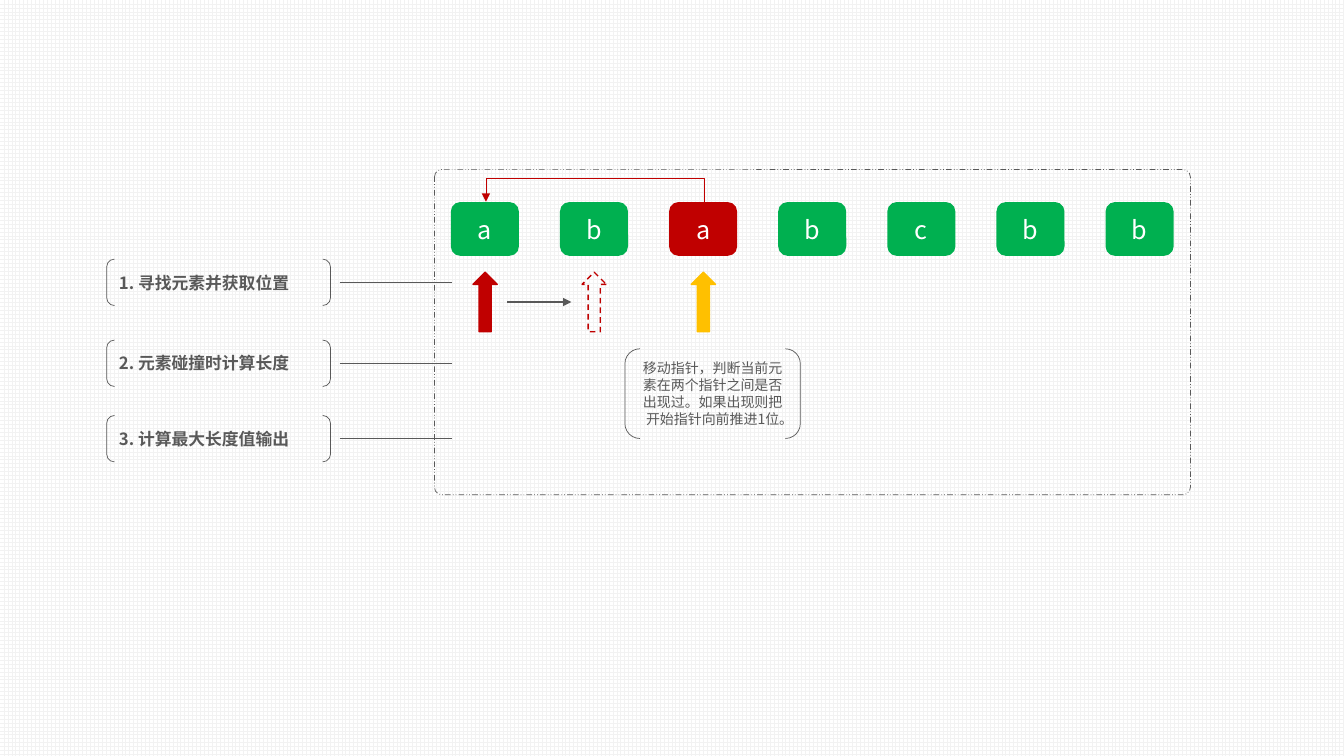
from dataclasses import dataclass
from typing import Optional

from lxml.etree import SubElement
from pptx import Presentation
from pptx.dml.color import RGBColor
from pptx.enum.dml import MSO_LINE as Dash, MSO_PATTERN as Pattern
from pptx.enum.shapes import MSO_CONNECTOR as Link, MSO_SHAPE as Kind
from pptx.enum.text import MSO_ANCHOR as Anchor, PP_ALIGN as Align
from pptx.oxml.ns import qn
from pptx.util import Cm, Pt

FONT = "Noto Sans CJK SC"
GREEN, RED, GOLD, GRAY, WHITE = "00B050", "C00000", "FFC000", "595959", "FFFFFF"
LEFT, STEP, SIDE = 11.38, 2.75, 1.68


@dataclass
class Cell:
    text: str
    fill: str = GREEN


@dataclass
class Mark:
    slot: int
    line: str
    fill: Optional[str] = None
    dash: Optional[Dash] = None


@dataclass
class Task:
    text: str
    mid: float


CELLS = [Cell("a"), Cell("b"), Cell("a", RED), Cell("b"), Cell("c"), Cell("b"), Cell("b")]
MARKS = [Mark(0, RED, RED), Mark(2, GOLD, GOLD), Mark(1, RED, dash=Dash.DASH)]
TASKS = [
    Task("1. 寻找元素并获取位置", 7.11),
    Task("2. 元素碰撞时计算长度", 9.15),
    Task("3. 计算最大长度值输出", 11.05),
]
NOTE = "移动指针，判断当前元素在两个指针之间是否出现过。如果出现则把开始指针向前推进1位。"


def paint(code: str) -> RGBColor:
    return RGBColor.from_string(code)


def draw(slide, kind: Kind, x: float, y: float, w: float, h: float, *,
         line: str, fill: Optional[str] = None, width: float = 0.5,
         dash: Optional[Dash] = None):
    shape = slide.shapes.add_shape(kind, Cm(x), Cm(y), Cm(w), Cm(h))
    shape.shadow.inherit = False
    if fill:
        shape.fill.solid()
        shape.fill.fore_color.rgb = paint(fill)
    else:
        shape.fill.background()
    shape.line.color.rgb = paint(line)
    shape.line.width = Pt(width)
    if dash:
        shape.line.dash_style = dash
    return shape


def write(shape, text: str, *, size: float, color: str = GRAY,
          bold: bool = False, align: Align = Align.CENTER) -> None:
    frame = shape.text_frame
    frame.word_wrap = True
    frame.vertical_anchor = Anchor.MIDDLE
    para = frame.paragraphs[0]
    para.alignment = align
    run = para.add_run()
    run.text = text
    font = run.font
    font.name, font.size, font.bold = FONT, Pt(size), bold
    font.color.rgb = paint(color)
    SubElement(run._r.get_or_add_rPr(), qn("a:ea"), typeface=FONT)


def join(slide, x1: float, y1: float, x2: float, y2: float, *,
         color: str = GRAY, width: float = 0.5, head: bool = False,
         kind: Link = Link.STRAIGHT):
    link = slide.shapes.add_connector(kind, Cm(x1), Cm(y1), Cm(x2), Cm(y2))
    link.line.color.rgb = paint(color)
    link.line.width = Pt(width)
    props = link._element.spPr
    if head:
        SubElement(props.find(qn("a:ln")), qn("a:tailEnd"), type="triangle")
    SubElement(props, qn("a:effectLst"))
    return link


def bend(link, turn: int, ratio: float) -> None:
    props = link._element.spPr
    props.find(qn("a:xfrm")).set("rot", str(turn * 60000))
    guides = props.find(qn("a:prstGeom")).find(qn("a:avLst"))
    SubElement(guides, qn("a:gd"), name="adj1", fmla=f"val {round(ratio * 100000)}")


def main() -> None:
    deck = Presentation()
    deck.slide_width, deck.slide_height = Cm(33.87), Cm(19.05)
    slide = deck.slides.add_slide(deck.slide_layouts[6])
    back = slide.background.fill
    back.patterned()
    back.pattern = Pattern.LARGE_GRID
    back.fore_color.rgb = paint("F2F2F2")
    back.back_color.rgb = paint(WHITE)

    for slot, cell in enumerate(CELLS):
        box = draw(slide, Kind.ROUNDED_RECTANGLE, LEFT + slot * STEP, 5.11, SIDE, 1.32,
                   line=cell.fill, fill=cell.fill, width=1)
        write(box, cell.text, size=18, color=WHITE)

    for mark in MARKS:
        arrow = draw(slide, Kind.DOWN_ARROW, LEFT + mark.slot * STEP + 0.54, 6.86, 0.61, 1.5,
                     line=mark.line, fill=mark.fill, width=1, dash=mark.dash)
        arrow.rotation = 180
    join(slide, 12.78, 7.61, 14.4, 7.61, width=1, head=True)

    note = draw(slide, Kind.DOUBLE_BRACKET, 15.75, 8.79, 4.42, 2.26, line=GRAY)
    write(note, NOTE, size=10)

    panel = draw(slide, Kind.ROUNDED_RECTANGLE, 10.95, 4.27, 19.05, 8.2,
                 line=GRAY, dash=Dash.DASH_DOT_DOT)
    panel.adjustments[0] = 0.023

    for task in TASKS:
        join(slide, 8.56, task.mid, LEFT, task.mid)
        label = draw(slide, Kind.DOUBLE_BRACKET, 2.69, task.mid - 0.58, 5.64, 1.17, line=GRAY)
        write(label, task.text, size=12, bold=True, align=Align.LEFT)

    loop = join(slide, 14.98, 7.86, 15.02, 2.35, color=RED, head=True, kind=Link.ELBOW)
    bend(loop, 270, 16)

    deck.save("out.pptx")


if __name__ == "__main__":
    main()
